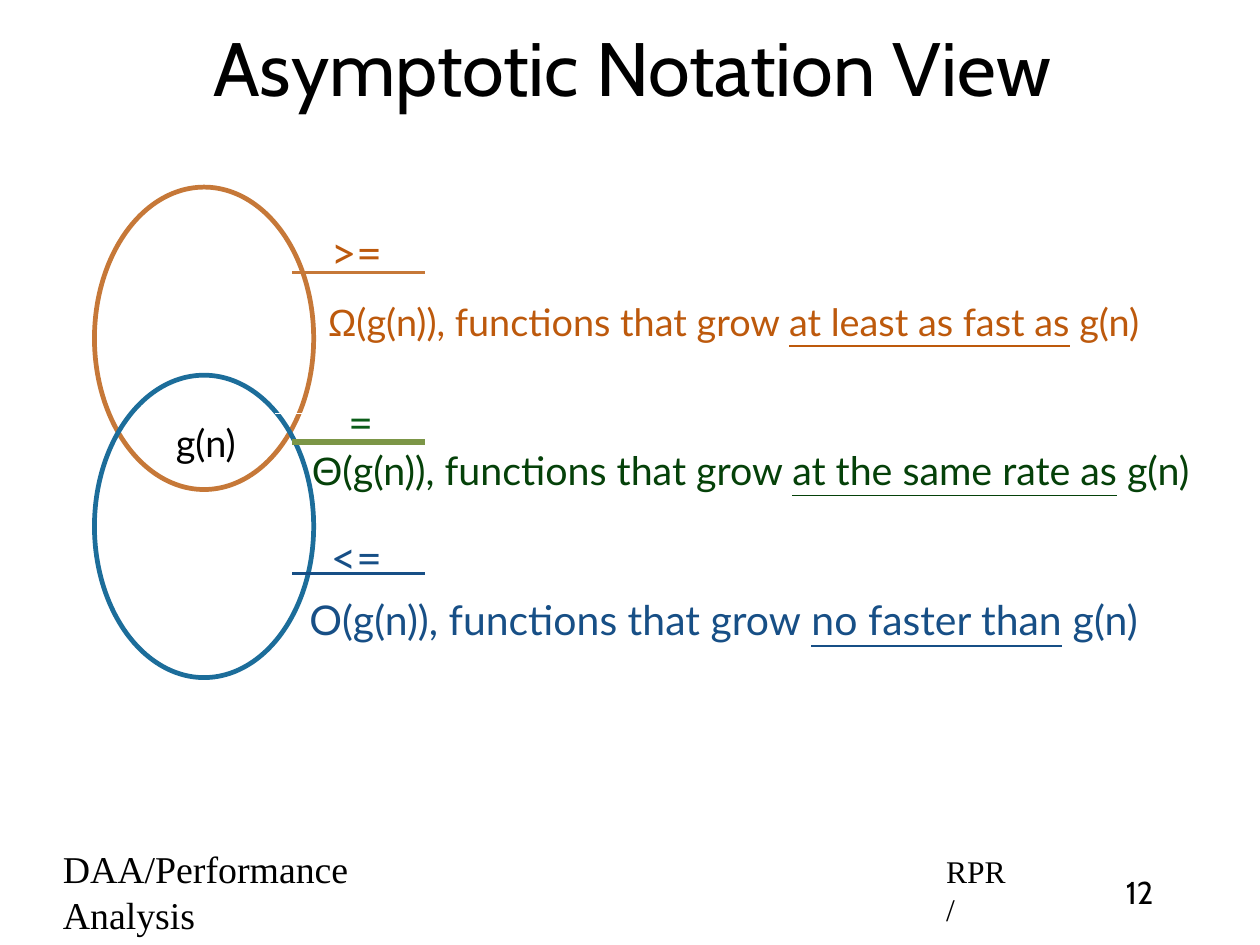
from pptx import Presentation
from pptx.dml.color import RGBColor
from pptx.enum.shapes import MSO_CONNECTOR, MSO_SHAPE
from pptx.enum.text import MSO_ANCHOR, MSO_AUTO_SIZE, PP_ALIGN
from pptx.oxml.ns import qn
from pptx.util import Inches, Pt
from lxml.etree import SubElement

WIDTH, HEIGHT = Inches(11.11), Inches(8.33)
COLUMN, ROW = WIDTH / 100, HEIGHT / 100

COLORS = {
    "black": "000000",
    "white": "FFFFFF",
    "omega": "BD590C",
    "omega_line": "C67838",
    "theta": "054109",
    "theta_sign": "0B5D18",
    "theta_line": "7C9647",
    "big_o": "174F86",
    "big_o_ring": "1C6D9A",
}


def color(name):
    return RGBColor.from_string(COLORS[name])


def grid(left, top, width, height):
    return (round(left * COLUMN), round(top * ROW),
            round(width * COLUMN), round(height * ROW))


def write(shape, runs, size, color_name, align=PP_ALIGN.LEFT,
          anchor=MSO_ANCHOR.TOP, insets=(0.05, 0.05, 0.05, 0.05)):
    frame = shape.text_frame
    frame.word_wrap = True
    frame.auto_size = MSO_AUTO_SIZE.NONE
    frame.vertical_anchor = anchor
    frame.margin_left, frame.margin_top, frame.margin_right, frame.margin_bottom = map(Inches, insets)
    paragraph = frame.paragraphs[0]
    paragraph.alignment = align
    for text, font_name, underline in runs:
        run = paragraph.add_run()
        run.text = text
        run.font.name = font_name
        run.font.size = Pt(size)
        run.font.underline = underline
        run.font.color.rgb = color(color_name)


def add_text(slide, place, text, size, color_name, font_name="Lato", **layout):
    box = slide.shapes.add_textbox(*grid(*place))
    write(box, [(text, font_name, False)], size, color_name, **layout)


def add_title(slide, text):
    title = slide.shapes.title
    title.left, title.top, title.width, title.height = grid(7.5, 0.8, 85, 12.5)
    write(title, [(text, "Cabin", False)], 48, "black", PP_ALIGN.CENTER,
          MSO_ANCHOR.MIDDLE, (0.1, 0.06, 0.06, 0.06))


def add_ring(slide, top, color_name):
    ring = slide.shapes.add_shape(MSO_SHAPE.OVAL, *grid(7.5, top, 17.4, 32))
    ring.shadow.inherit = False
    ring.fill.background()
    ring.line.color.rgb = color(color_name)
    ring.line.width = Pt(3)


def add_rule(slide, left, row, color_name, width):
    x, y, length, _ = grid(left, row, 10.5, 0)
    rule = slide.shapes.add_connector(MSO_CONNECTOR.STRAIGHT, x, y, x + length, y)
    rule.line.color.rgb = color(color_name)
    rule.line.width = Pt(width)
    SubElement(rule._element.spPr, qn("a:effectLst"))


def add_definition(slide, place, symbol, symbol_font, growth, size, color_name):
    box = slide.shapes.add_textbox(*grid(*place))
    write(box, [
        (symbol, symbol_font, False),
        ("(g(n)), functions that grow ", "Lato", False),
        (growth, "Lato", True),
        (" g(n)", "Lato", False),
    ], size, color_name)


def add_footer(slide):
    add_text(slide, (87.5, 91.7, 5.9, 5), "12", 20, "black", "Cabin",
             align=PP_ALIGN.CENTER, insets=(0.06, 0.06, 0.06, 0.06))
    add_text(slide, (4.1, 91.5, 35.3, 5.6), "DAA/Performance Analysis", 24, "black",
             "Times New Roman", anchor=MSO_ANCHOR.MIDDLE, insets=(0.1, 0.06, 0.9, 0.06))
    add_text(slide, (74.2, 91.7, 6.9, 5), "RPR/", 20, "black",
             "Times New Roman", anchor=MSO_ANCHOR.MIDDLE, insets=(0.1, 0.06, 0.1, 0.06))


def main():
    presentation = Presentation()
    presentation.slide_width, presentation.slide_height = WIDTH, HEIGHT
    slide = presentation.slides.add_slide(presentation.slide_layouts[5])

    add_title(slide, "Asymptotic Notation View")
    add_footer(slide)

    add_ring(slide, 19.8, "omega_line")
    add_ring(slide, 39.7, "big_o_ring")

    add_definition(slide, (25.6, 31, 70.4, 6.4), "Ω", "Arial",
                   "at least as fast as", 24, "omega")
    add_definition(slide, (24.3, 46.6, 75.7, 6.6), "Θ", "Arial",
                   "at the same rate as", 25, "theta")
    add_definition(slide, (24.1, 62.3, 71, 6.4), "O", "Lato",
                   "no faster than", 26, "big_o")

    add_rule(slide, 21.8, 43.8, "white", 0.75)
    add_rule(slide, 23.2, 28.8, "omega_line", 2)
    add_rule(slide, 23.2, 46.8, "theta_line", 4)
    add_rule(slide, 23.2, 60.7, "big_o", 2)

    add_text(slide, (13.5, 43.8, 6.7, 6), "g(n)", 24, "black")
    add_text(slide, (25.8, 23.3, 6.1, 6.8), ">=", 28, "omega")
    add_text(slide, (27.2, 41.3, 3.5, 6.7), "=", 27, "theta_sign")
    add_text(slide, (25.8, 55.5, 6.1, 6.8), "<=", 28, "big_o")

    presentation.save("out.pptx")


if __name__ == "__main__":
    main()
